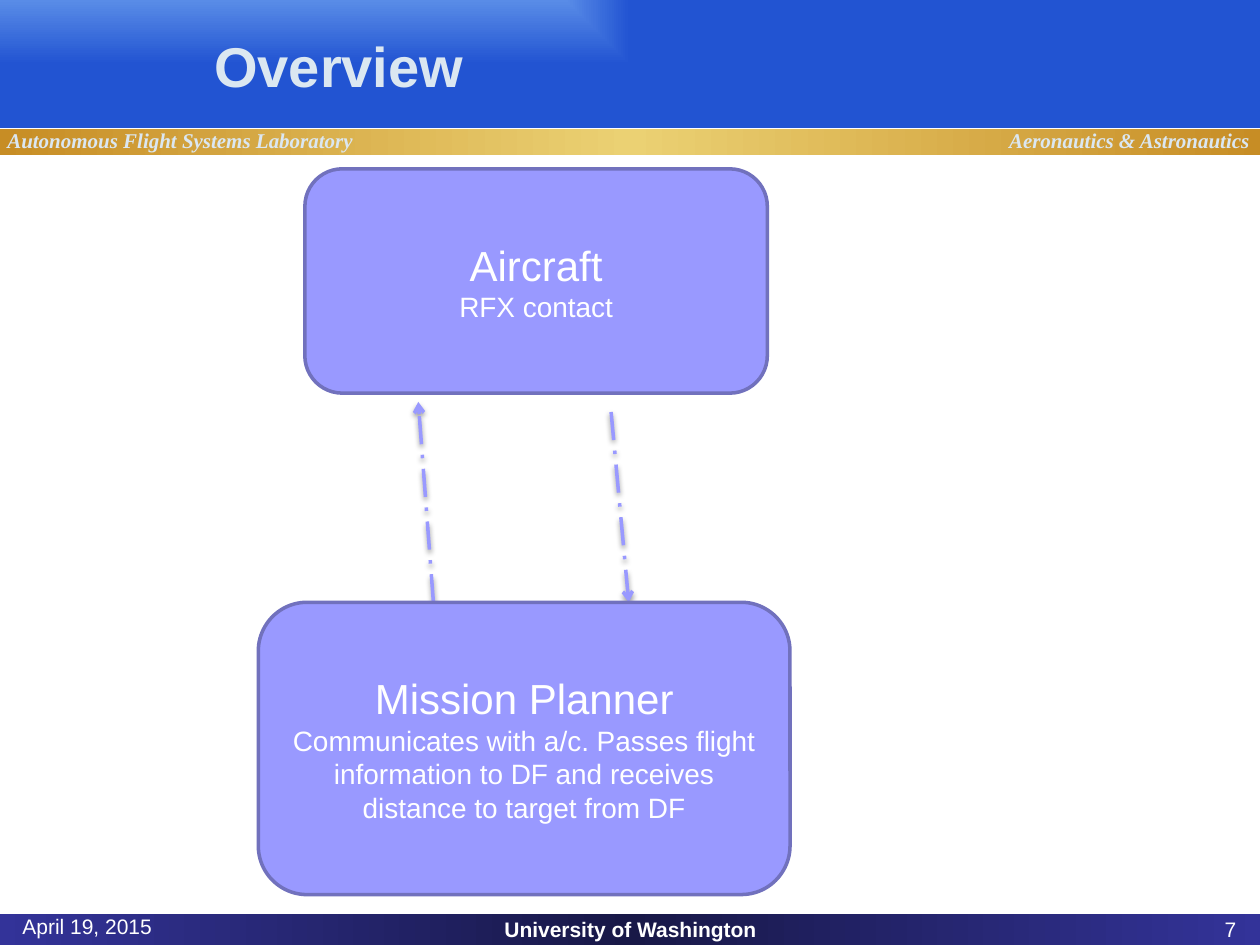
from dataclasses import dataclass

from lxml.etree import SubElement
from pptx import Presentation
from pptx.dml.color import RGBColor
from pptx.enum.dml import MSO_LINE as Dash
from pptx.enum.shapes import MSO_CONNECTOR as Link, MSO_SHAPE as Kind
from pptx.enum.text import MSO_ANCHOR as Anchor, MSO_AUTO_SIZE as Fit, PP_ALIGN as Align
from pptx.oxml import parse_xml
from pptx.oxml.ns import nsdecls, qn
from pptx.util import Inches, Pt

WHITE = RGBColor(0xFF, 0xFF, 0xFF)
PALE = RGBColor(0xDB, 0xE7, 0xF1)
LILAC = RGBColor(0x99, 0x99, 0xFF)
EDGE = RGBColor(0x71, 0x71, 0xBD)
SKY = RGBColor(0x59, 0x8C, 0xE7)
ROYAL = RGBColor(0x22, 0x54, 0xD2)
GOLD = RGBColor(0xC7, 0x8D, 0x25)
STRAW = RGBColor(0xEB, 0xD1, 0x73)
NAVY = RGBColor(0x33, 0x33, 0x99)
NIGHT = RGBColor(0x18, 0x18, 0x47)

SANS, SERIF = "Arial", "Times New Roman"
WIDE, HIGH = Inches(10), Inches(7.5)
COL, ROW = WIDE / 10, HIGH / 7.5  # grid of 10 columns by 7.5 rows
HEAD, BAND, FOOT = 1.02, 1.23, 7.25  # rows where the bars meet

ACROSS = '<a:lin ang="0" scaled="1"/>'
CORNER = '<a:path path="rect"><a:fillToRect r="100000" b="100000"/></a:path>'


@dataclass
class Area:
    x: float
    y: float
    w: float
    h: float

    def place(self) -> tuple[int, ...]:
        return (int(self.x * COL), int(self.y * ROW),
                int(self.w * COL), int(self.h * ROW))


@dataclass
class Bar:
    top: float
    end: float
    tints: list[RGBColor]
    way: str = ACROSS


@dataclass
class Label:
    text: str
    area: Area
    align: Align = Align.LEFT
    anchor: Anchor = Anchor.MIDDLE
    bold: bool = False


@dataclass
class Node:
    name: str
    note: str
    area: Area


@dataclass
class Arrow:
    x1: float
    y1: float
    x2: float
    y2: float


BARS = [
    Bar(FOOT, 7.5, [NAVY, NIGHT, NAVY]),
    Bar(BAND, FOOT, [WHITE]),
    Bar(0, HEAD, [SKY, ROYAL], CORNER),
    Bar(HEAD, BAND, [GOLD, STRAW, GOLD]),
]
MOTTOS = [
    Label("Aeronautics & Astronautics", Area(7.91, 0.96, 2.39, 0.3)),
    Label("Autonomous Flight Systems Laboratory", Area(-0.04, 0.96, 3.74, 0.3)),
]
FOOTERS = [
    Label("University of Washington", Area(2.67, FOOT, 4.67, 0.25), Align.CENTER, bold=True),
    Label("7", Area(7.58, FOOT, 2.33, 0.25), Align.RIGHT),
    Label("April 19, 2015", Area(0.08, FOOT, 2.33, 0.25), anchor=Anchor.BOTTOM),
]
ARROWS = [Arrow(3.44, 4.78, 3.32, 3.19), Arrow(4.85, 3.27, 4.99, 4.78)]
NODES = [
    Node("Mission Planner",
         "Communicates with a/c. Passes flight information to DF "
         "and receives distance to target from DF",
         Area(2.05, 4.78, 4.22, 2.32)),
    Node("Aircraft", "RFX contact", Area(2.42, 1.34, 3.67, 1.78)),
]


def style(para, size: float, color: RGBColor, face: str = SANS,
          bold: bool = False, italic: bool = False) -> None:
    font = para.font
    font.size, font.name, font.bold, font.italic = Pt(size), face, bold, italic
    font.color.rgb = color


def draw_bar(slide, bar: Bar) -> None:
    area = Area(0, bar.top, 10, bar.end - bar.top)
    shape = slide.shapes.add_shape(Kind.RECTANGLE, *area.place())
    shape.shadow.inherit = False
    shape.line.fill.background()
    shape.fill.solid()
    shape.fill.fore_color.rgb = bar.tints[0]
    if len(bar.tints) > 1:
        step = 100000 // (len(bar.tints) - 1)
        stops = "".join(f'<a:gs pos="{i * step}"><a:srgbClr val="{tint}"/></a:gs>'
                        for i, tint in enumerate(bar.tints))
        props = shape.fill._xPr
        props.replace(props.find(qn("a:solidFill")), parse_xml(
            f'<a:gradFill {nsdecls("a")} rotWithShape="1">'
            f"<a:gsLst>{stops}</a:gsLst>{bar.way}</a:gradFill>"))


def draw_label(slide, label: Label):
    frame = slide.shapes.add_textbox(*label.area.place()).text_frame
    frame.word_wrap = True
    frame.vertical_anchor = label.anchor
    para = frame.paragraphs[0]
    para.text, para.alignment = label.text, label.align
    return para


def draw_arrow(slide, arrow: Arrow) -> None:
    line = slide.shapes.add_connector(
        Link.STRAIGHT, int(arrow.x1 * COL), int(arrow.y1 * ROW),
        int(arrow.x2 * COL), int(arrow.y2 * ROW))
    line.line.color.rgb = LILAC
    line.line.width = Pt(2)
    line.line.dash_style = Dash.LONG_DASH_DOT
    SubElement(line.line._get_or_add_ln(), qn("a:tailEnd"), type="arrow")
    line._element.spPr.append(parse_xml(
        f'<a:effectLst {nsdecls("a")}>'
        f'<a:outerShdw blurRad="{Pt(3.1)}" dist="{Pt(1.6)}" dir="5400000" rotWithShape="0">'
        '<a:srgbClr val="000000"><a:alpha val="38000"/></a:srgbClr>'
        "</a:outerShdw></a:effectLst>"))


def draw_node(slide, node: Node) -> None:
    shape = slide.shapes.add_shape(Kind.ROUNDED_RECTANGLE, *node.area.place())
    shape.shadow.inherit = False
    shape.fill.solid()
    shape.fill.fore_color.rgb = LILAC
    shape.line.color.rgb = EDGE
    shape.line.width = Pt(2)
    frame = shape.text_frame
    frame.word_wrap = True
    frame.vertical_anchor = Anchor.MIDDLE
    frame.text = f"{node.name}\n{node.note}"
    for para, size in zip(frame.paragraphs, (24, 16)):
        para.alignment = Align.CENTER
        style(para, size, WHITE)


def draw_title(slide, text: str, area: Area) -> None:
    title = slide.shapes.title
    title.left, title.top, title.width, title.height = area.place()
    frame = title.text_frame
    frame.text = text
    frame.auto_size = Fit.NONE
    frame.vertical_anchor = Anchor.MIDDLE
    para = frame.paragraphs[0]
    para.alignment = Align.LEFT
    style(para, 32, PALE, bold=True)
    # Bring the title in front of the bars
    slide.shapes._spTree.append(title._element)


def main() -> None:
    deck = Presentation()
    deck.slide_width, deck.slide_height = WIDE, HIGH
    slide = deck.slides.add_slide(deck.slide_layouts[5])

    # Bars and their labels
    for bar in BARS:
        draw_bar(slide, bar)
    for label in MOTTOS:
        style(draw_label(slide, label), 12, PALE, SERIF, bold=True, italic=True)
    for label in FOOTERS:
        style(draw_label(slide, label), 12, WHITE, bold=label.bold)

    # Diagram
    for arrow in ARROWS:
        draw_arrow(slide, arrow)
    for node in NODES:
        draw_node(slide, node)

    draw_title(slide, "Overview", Area(1.6, 0.1, 8.4, 0.83))
    deck.save("out.pptx")


if __name__ == "__main__":
    main()
